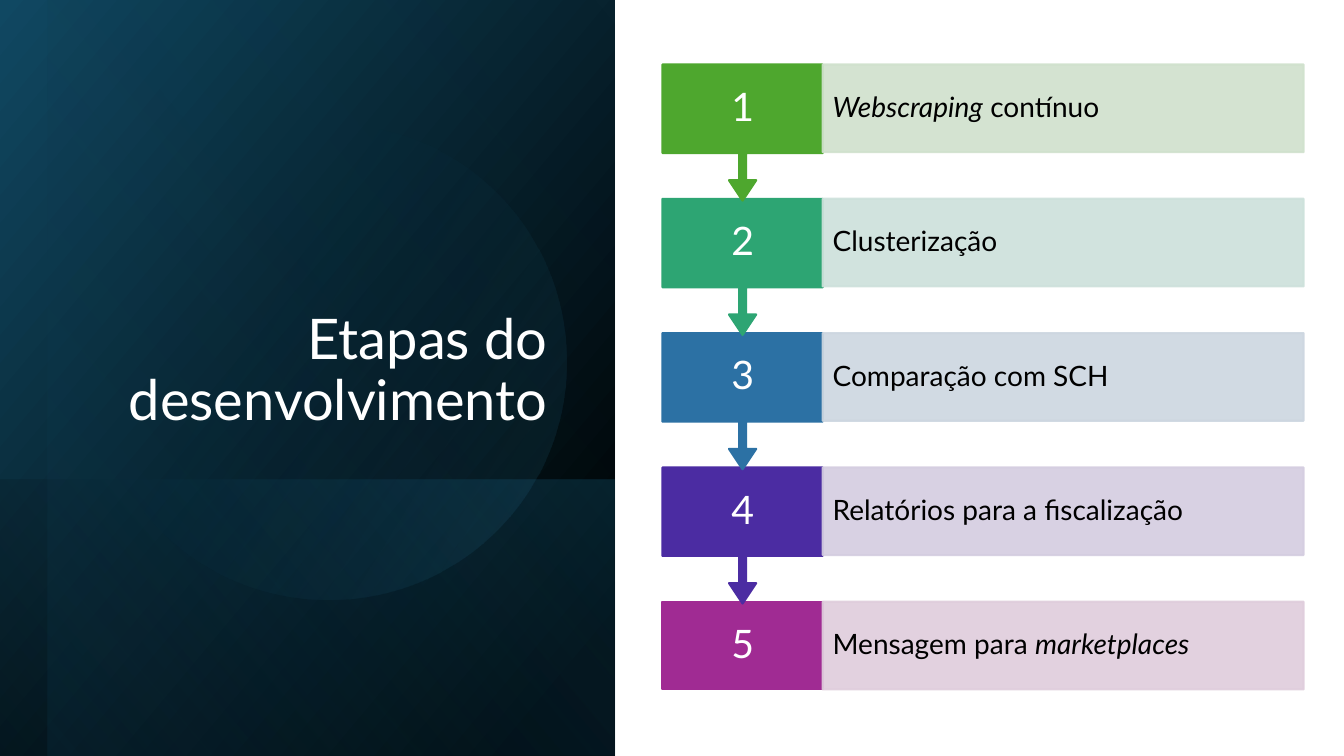
from pptx import Presentation
from pptx.dml.color import RGBColor
from pptx.enum.shapes import MSO_SHAPE
from pptx.enum.text import MSO_ANCHOR, MSO_AUTO_SIZE, PP_ALIGN
from pptx.oxml.ns import qn
from pptx.util import Inches, Pt
from lxml import etree

RECTANGLE = MSO_SHAPE.RECTANGLE
OVAL = MSO_SHAPE.OVAL
CALLOUT = MSO_SHAPE.UP_ARROW_CALLOUT
LEFT, CENTER, RIGHT = PP_ALIGN.LEFT, PP_ALIGN.CENTER, PP_ALIGN.RIGHT
MIDDLE, BOTTOM = MSO_ANCHOR.MIDDLE, MSO_ANCHOR.BOTTOM
NO_AUTOFIT = MSO_AUTO_SIZE.NONE

BLACK = RGBColor(0x00, 0x00, 0x00)
WHITE = RGBColor(0xFF, 0xFF, 0xFF)
NAVY = RGBColor(0x10, 0x48, 0x62)
TEAL = RGBColor(0x15, 0x60, 0x82)
SKY = RGBColor(0x46, 0xB1, 0xE1)
GREEN = RGBColor(0x4E, 0xA7, 0x2E)
EMERALD = RGBColor(0x2D, 0xA5, 0x73)
BLUE = RGBColor(0x2C, 0x71, 0xA4)
VIOLET = RGBColor(0x4B, 0x2C, 0xA2)
MAGENTA = RGBColor(0xA0, 0x2B, 0x93)
PALE_GREEN = RGBColor(0xD0, 0xE1, 0xCD)
PALE_EMERALD = RGBColor(0xCD, 0xE1, 0xDB)
PALE_BLUE = RGBColor(0xCD, 0xD6, 0xE0)
PALE_VIOLET = RGBColor(0xD4, 0xCD, 0xE0)
PALE_MAGENTA = RGBColor(0xDF, 0xCD, 0xDC)

FONT = "Lato"
FIRST_TOP, LAST_TOP = 0.64, 5.97
NUMBER_LEFT, NUMBER_WIDTH = 6.57, 1.59
PANEL_LEFT, PANEL_WIDTH = 8.16, 4.77
ROW_HEIGHT, CALLOUT_HEIGHT = 0.87, 1.35

BACKDROP = [
    (RECTANGLE, (-0.7, 0.7, 7.5, 6.1), 90, True, 50,
     [(8, BLACK, 100), (100, NAVY, 100)]),
    (RECTANGLE, (1.67, 3.08, 2.74, 6.1), 90, True, 130,
     [(2, TEAL, 29), (100, BLACK, 30)]),
    (RECTANGLE, (-0.46, 0.93, 7.5, 5.63), 90, True, 130,
     [(0, BLACK, 0), (99, TEAL, 11)]),
    (OVAL, (0.9, 1.23, 4.72, 4.72), 101.6, False, 290,
     [(39, TEAL, 0), (100, SKY, 15)]),
]
STEPS = [
    ([("Webscraping", True), (" contínuo", False)], GREEN, PALE_GREEN),
    ([("Clusterização", False)], EMERALD, PALE_EMERALD),
    ([("Comparação com SCH", False)], BLUE, PALE_BLUE),
    ([("Relatórios para a fiscalização", False)], VIOLET, PALE_VIOLET),
    ([("Mensagem para ", False), ("marketplaces", True)], MAGENTA, PALE_MAGENTA),
]


def inches(frame):
    return [Inches(length) for length in frame]


def set_alpha(element, percent):
    for color in element.iter(qn("a:srgbClr")):
        etree.SubElement(color, qn("a:alpha")).set("val", str(percent * 1000))


def add_backdrop(page, kind, frame, rotation, flipped, angle, stops):
    shape = page.shapes.add_shape(kind, *inches(frame))
    shape.shadow.inherit = False
    shape.line.fill.background()
    shape.rotation = rotation
    if flipped:
        shape.element.spPr.find(qn("a:xfrm")).set("flipH", "1")
    shape.fill.gradient()
    shape.fill.gradient_angle = 360 - angle
    gradient = shape.element.spPr.find(qn("a:gradFill"))
    elements = gradient.iter(qn("a:gs"))
    for stop, element, (position, color, alpha) in zip(
            shape.fill.gradient_stops, elements, stops):
        stop.position = position / 100
        stop.color.rgb = color
        set_alpha(element, alpha)


def add_block(page, kind, frame, color, alpha=100):
    shape = page.shapes.add_shape(kind, *inches(frame))
    shape.shadow.inherit = False
    shape.fill.solid()
    shape.fill.fore_color.rgb = color
    shape.line.color.rgb = color
    shape.line.width = Pt(1.5)
    if alpha < 100:
        set_alpha(shape.element.spPr, alpha)
    return shape


def write(shape, spans, size, color, align, anchor, inset_x, inset_y):
    frame = shape.text_frame
    frame.word_wrap = True
    frame.auto_size = NO_AUTOFIT
    frame.vertical_anchor = anchor
    frame.margin_left = frame.margin_right = Inches(inset_x)
    frame.margin_top = frame.margin_bottom = Inches(inset_y)
    para = frame.paragraphs[0]
    para.alignment = align
    para.line_spacing = 0.9
    for text, italic in spans:
        span = para.add_run()
        span.text = text
        span.font.name = FONT
        span.font.size = Pt(size)
        span.font.italic = italic
        span.font.color.rgb = color


def place_title(page):
    title = page.shapes.title
    title.left, title.top, title.width, title.height = inches((0.9, 0.64, 4.63, 3.7))
    write(title, [("Etapas do desenvolvimento", False)], 40, WHITE,
          RIGHT, BOTTOM, 0.1, 0.05)
    title.element.getparent().append(title.element)


def add_step(page, number, top, spans, color, pale, is_last):
    number_frame = (NUMBER_LEFT, top, NUMBER_WIDTH, ROW_HEIGHT)
    if is_last:
        add_block(page, RECTANGLE, number_frame, color)
    else:
        callout = add_block(
            page, CALLOUT, (NUMBER_LEFT, top, NUMBER_WIDTH, CALLOUT_HEIGHT), color)
        callout.rotation = 180
        for index, value in enumerate((0.05, 0.1, 0.15, 0.65)):
            callout.adjustments[index] = value
    label = page.shapes.add_textbox(*inches(number_frame))
    write(label, [(str(number), False)], 28, WHITE, CENTER, MIDDLE, 0.11, 0.22)
    panel = add_block(
        page, RECTANGLE, (PANEL_LEFT, top, PANEL_WIDTH, ROW_HEIGHT), pale, 90)
    write(panel, spans, 20, BLACK, LEFT, MIDDLE, 0.1, 0.28)


def main():
    deck = Presentation()
    deck.slide_width, deck.slide_height = Inches(13.33), Inches(7.5)
    page = deck.slides.add_slide(deck.slide_layouts[5])
    for item in BACKDROP:
        add_backdrop(page, *item)
    place_title(page)
    pitch = (LAST_TOP - FIRST_TOP) / (len(STEPS) - 1)
    for number, (spans, color, pale) in reversed(list(enumerate(STEPS, 1))):
        top = FIRST_TOP + (number - 1) * pitch
        add_step(page, number, top, spans, color, pale, number == len(STEPS))
    deck.save("out.pptx")


if __name__ == "__main__":
    main()
